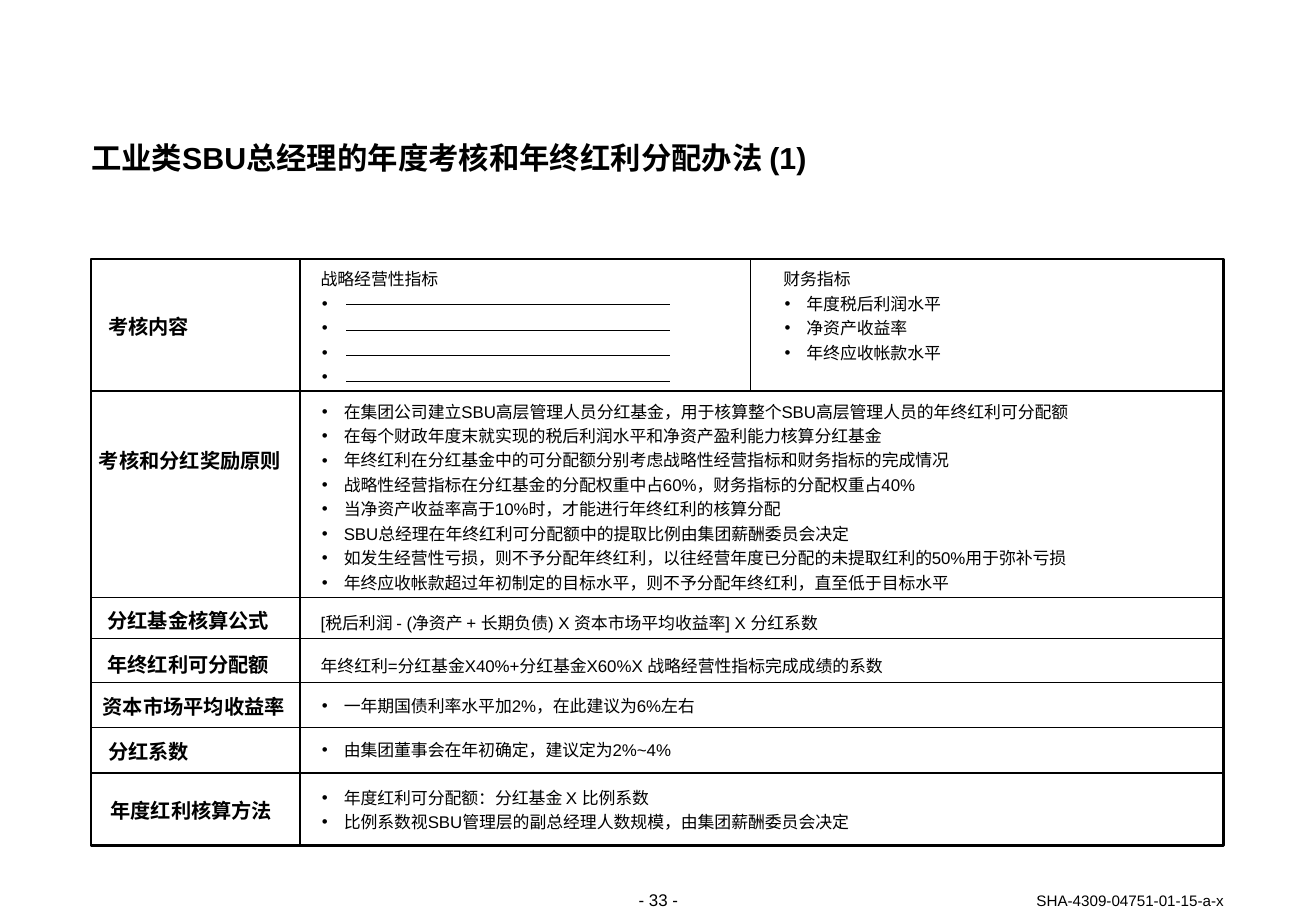
from pptx import Presentation
from pptx.dml.color import RGBColor
from pptx.enum.shapes import MSO_CONNECTOR, MSO_SHAPE
from pptx.enum.text import MSO_ANCHOR, PP_ALIGN
from pptx.oxml.ns import qn
from pptx.util import Pt
from lxml import etree

LEFT, CENTER, RIGHT = PP_ALIGN.LEFT, PP_ALIGN.CENTER, PP_ALIGN.RIGHT
TOP, BOTTOM = MSO_ANCHOR.TOP, MSO_ANCHOR.BOTTOM
STRAIGHT, RECTANGLE = MSO_CONNECTOR.STRAIGHT, MSO_SHAPE.RECTANGLE
BLACK = "000000"
FONT = "Arial"

FRAME_LEFT, FRAME_TOP, FRAME_RIGHT, FRAME_BOTTOM = 54, 153.4, 725.4, 501.3
LABEL_LEFT, LABEL_DIVIDER = 56.2, 177.8
CONTENT_LEFT, CONTENT_WIDTH = 190.1, 544
METRICS_DIVIDER, FINANCE_LEFT, METRICS_WIDTH = 445, 464.4, 141
ROW_LINES = [231.8, 354.2, 378.4, 404.6, 431.3, 458.3]
BLANK_LEFT, BLANK_RIGHT, BLANK_TOP, BLANK_STEP = 205.2, 397.4, 180.7, 15.1
BLANK_COUNT = 4

# text, top, width
ROW_LABELS = [
    ("考核内容", 186.5, 64),
    ("考核和分红奖励原则", 265.7, 113),
    ("分红基金核算公式", 360.7, 111),
    ("年终红利可分配额", 386.8, 111),
    ("资本市场平均收益率", 411.3, 117.4),
    ("分红系数", 438, 64),
    ("年度红利核算方法", 473, 114.5),
]

# heading, bullets, left, top, width
BULLET_LISTS = [
    ("战略经营性指标", [" "] * BLANK_COUNT, CONTENT_LEFT, 159.3, METRICS_WIDTH),
    ("财务指标", ["年度税后利润水平", "净资产收益率", "年终应收帐款水平"],
     FINANCE_LEFT, 159.3, METRICS_WIDTH),
    (None, [
        "在集团公司建立SBU高层管理人员分红基金，用于核算整个SBU高层管理人员的年终红利可分配额",
        "在每个财政年度末就实现的税后利润水平和净资产盈利能力核算分红基金",
        "年终红利在分红基金中的可分配额分别考虑战略性经营指标和财务指标的完成情况",
        "战略性经营指标在分红基金的分配权重中占60%，财务指标的分配权重占40%",
        "当净资产收益率高于10%时，才能进行年终红利的核算分配",
        "SBU总经理在年终红利可分配额中的提取比例由集团薪酬委员会决定",
        "如发生经营性亏损，则不予分配年终红利，以往经营年度已分配的未提取红利的50%用于弥补亏损",
        "年终应收帐款超过年初制定的目标水平，则不予分配年终红利，直至低于目标水平",
    ], CONTENT_LEFT, 237.8, CONTENT_WIDTH),
    (None, ["一年期国债利率水平加2%，在此建议为6%左右"],
     CONTENT_LEFT, 412.6, CONTENT_WIDTH),
    (None, ["由集团董事会在年初确定，建议定为2%~4%"],
     CONTENT_LEFT, 438.7, CONTENT_WIDTH),
    (None, ["年度红利可分配额：分红基金 X 比例系数",
            "比例系数视SBU管理层的副总经理人数规模，由集团薪酬委员会决定"],
     CONTENT_LEFT, 466.8, CONTENT_WIDTH),
]

# text, top
FORMULAS = [
    ("[税后利润 - (净资产 + 长期负债) X 资本市场平均收益率] X 分红系数", 359.3),
    ("年终红利=分红基金X40%+分红基金X60%X 战略经营性指标完成成绩的系数", 385.2),
]


def color(value):
    return RGBColor.from_string(value)


def add_line(slide, x1, y1, x2, y2, weight):
    line = slide.shapes.add_connector(STRAIGHT, Pt(x1), Pt(y1), Pt(x2), Pt(y2))
    line.line.color.rgb = color(BLACK)
    line.line.width = Pt(weight)
    etree.SubElement(line._element.spPr, qn("a:effectLst"))


def add_frame(slide):
    frame = slide.shapes.add_shape(
        RECTANGLE, Pt(FRAME_LEFT), Pt(FRAME_TOP),
        Pt(FRAME_RIGHT - FRAME_LEFT), Pt(FRAME_BOTTOM - FRAME_TOP))
    frame.shadow.inherit = False
    frame.fill.background()
    frame.line.color.rgb = color(BLACK)
    frame.line.width = Pt(1.5)


def add_text_frame(slide, left, top, width, height, anchor=TOP):
    """Add a text box without margins and return its text frame."""
    text_box = slide.shapes.add_textbox(Pt(left), Pt(top), Pt(width), Pt(height))
    text_frame = text_box.text_frame
    text_frame.word_wrap = True
    text_frame.vertical_anchor = anchor
    text_frame.margin_left = text_frame.margin_right = 0
    text_frame.margin_top = text_frame.margin_bottom = 0
    return text_frame


def format_runs(paragraph, size, bold=False):
    for run in paragraph.runs:
        run.font.name = FONT
        run.font.size = Pt(size)
        run.font.bold = bold
        run.font.color.rgb = color(BLACK)


def add_text(slide, text, left, top, width, height, size, bold=False,
             align=LEFT, spacing=None, anchor=TOP):
    text_frame = add_text_frame(slide, left, top, width, height, anchor)
    text_frame.text = text
    paragraph = text_frame.paragraphs[0]
    paragraph.alignment = align
    paragraph.line_spacing = spacing
    format_runs(paragraph, size, bold)


def set_bullet(paragraph):
    properties = paragraph._p.get_or_add_pPr()
    properties.set("marL", str(Pt(13.7)))
    properties.set("indent", str(Pt(-13)))
    etree.SubElement(properties, qn("a:buFont"), typeface=FONT)
    etree.SubElement(properties, qn("a:buChar"), char="•")


def add_bullet_list(slide, heading, bullets, left, top, width):
    lines = ([heading] if heading else []) + bullets
    text_frame = add_text_frame(slide, left, top, width, 14.5 * len(lines) - 2.5)
    text_frame.text = "\n".join(lines)
    for index, paragraph in enumerate(text_frame.paragraphs):
        if index or not heading:
            set_bullet(paragraph)
        if index:
            paragraph.space_before = Pt(2.5)
        format_runs(paragraph, 10)


def main():
    presentation = Presentation()
    presentation.slide_width = Pt(780.13)
    presentation.slide_height = Pt(540)
    slide = presentation.slides.add_slide(presentation.slide_layouts[6])

    add_text(slide, "工业类SBU总经理的年度考核和年终红利分配办法 (1)",
             FRAME_LEFT, 84.2, 671.8, 20, 18, bold=True, spacing=Pt(20))

    add_frame(slide)
    add_line(slide, LABEL_DIVIDER, FRAME_TOP, LABEL_DIVIDER, FRAME_BOTTOM, 1)
    add_line(slide, METRICS_DIVIDER, FRAME_TOP, METRICS_DIVIDER, ROW_LINES[0], 0.5)
    for y in ROW_LINES:
        add_line(slide, FRAME_LEFT, y, FRAME_RIGHT, y, 1)

    for text, top, width in ROW_LABELS:
        add_text(slide, text, LABEL_LEFT, top, width, 14.4, 12, bold=True, align=CENTER)
    for bullet_list in BULLET_LISTS:
        add_bullet_list(slide, *bullet_list)
    for text, top in FORMULAS:
        add_text(slide, text, CONTENT_LEFT, top, 511, 15.8, 10, spacing=1.3)
    for index in range(BLANK_COUNT):
        y = BLANK_TOP + index * BLANK_STEP
        add_line(slide, BLANK_LEFT, y, BLANK_RIGHT, y, 0.5)

    add_text(slide, "- 33 -", 349.2, 527.2, 82, 12.2, 10, align=CENTER)
    add_text(slide, "SHA-4309-04751-01-15-a-x", 549.8, 528.2, 175.6, 11, 9,
             align=RIGHT, spacing=Pt(11), anchor=BOTTOM)

    presentation.save("out.pptx")


if __name__ == "__main__":
    main()
